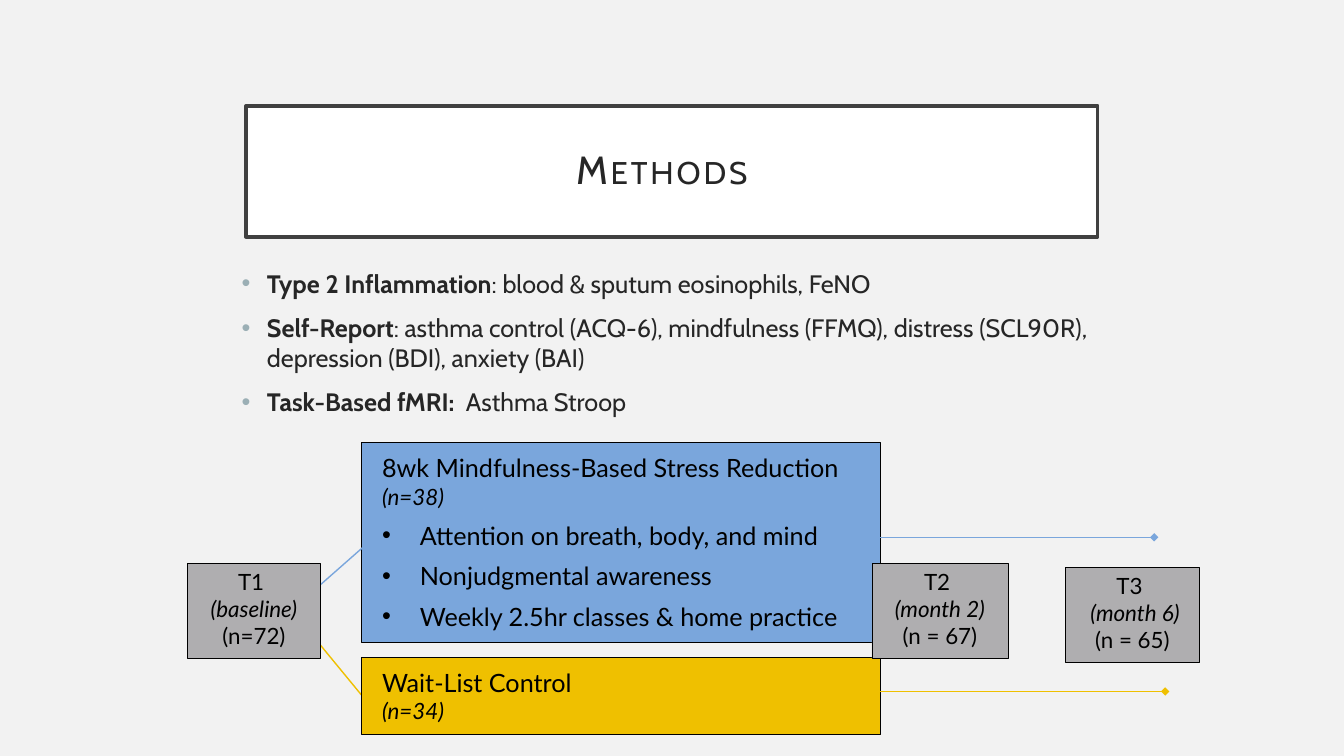
from pptx import Presentation
from pptx.dml.color import RGBColor
from pptx.enum.shapes import MSO_CONNECTOR, MSO_SHAPE
from pptx.enum.text import MSO_ANCHOR, PP_ALIGN
from pptx.oxml.ns import qn
from pptx.util import Pt
from lxml.etree import SubElement

INK, BLACK, GREY = "262626", "000000", "AFAEB0"
BLUE, YELLOW, BULLET = "7AA6DC", "EFC000", "9BAFB5"

MEASURES = [
    ("Type 2 Inflammation", ": blood & sputum eosinophils, FeNO"),
    ("Self-Report", ": asthma control (ACQ-6), mindfulness (FFMQ), "
                    "distress (SCL90R), depression (BDI), anxiety (BAI)"),
    ("Task-Based fMRI: ", " Asthma Stroop"),
]
PRACTICES = [
    "Attention on breath, body, and mind",
    "Nonjudgmental awareness",
    "Weekly 2.5hr classes & home practice",
]
# Left, top, width and lines of each assessment
VISITS = [
    (0, 86.4, 95, ("T1 ", "(baseline)", "(n=72)")),
    (488.9, 86.4, 97.2, ("T2 ", "(month 2)", "(n = 67)")),
    (627.1, 89.3, 95.8, ("T3 ", " (month 6)", "(n = 65)")),
]


def color(value):
    return RGBColor.from_string(value)


def set_frame(shape, insets, anchor=MSO_ANCHOR.TOP):
    frame = shape.text_frame
    frame.word_wrap = True
    frame.vertical_anchor = anchor
    frame.margin_left, frame.margin_top, frame.margin_right, frame.margin_bottom = map(Pt, insets)
    return frame


def add_box(slide, box, fill, line, weight):
    shape = slide.shapes.add_shape(MSO_SHAPE.RECTANGLE, *map(Pt, box))
    shape.shadow.inherit = False
    shape.fill.solid()
    shape.fill.fore_color.rgb = color(fill)
    shape.line.color.rgb = color(line)
    shape.line.width = Pt(weight)
    return shape


def add_line(slide, start, end, line, diamond=False):
    connector = slide.shapes.add_connector(MSO_CONNECTOR.STRAIGHT, *map(Pt, start + end))
    connector.line.color.rgb = color(line)
    connector.line.width = Pt(1)
    if diamond:
        SubElement(connector.line._get_or_add_ln(), qn("a:tailEnd"), type="diamond")
    SubElement(connector._element.spPr, qn("a:effectLst"))


def add_paragraph(frame, first, align=PP_ALIGN.LEFT, before=0, after=0):
    paragraph = frame.paragraphs[0] if first else frame.add_paragraph()
    paragraph.alignment = align
    paragraph.space_before = Pt(0 if first else before)
    paragraph.space_after = Pt(after)
    return paragraph


def add_bullet(paragraph, indent, tint):
    properties = paragraph._p.get_or_add_pPr()
    properties.set("marL", str(Pt(indent)))
    properties.set("indent", str(-Pt(indent)))
    SubElement(SubElement(properties, qn("a:buClr")), qn("a:srgbClr"), val=tint)
    SubElement(properties, qn("a:buFont"), typeface="Arial")
    SubElement(properties, qn("a:buChar"), char="•")


def add_run(paragraph, text, size, font="Lato", ink=BLACK, bold=False, italic=False):
    run = paragraph.add_run()
    run.text = text
    run.font.name = font
    run.font.size = Pt(size)
    run.font.color.rgb = color(ink)
    run.font.bold = bold
    run.font.italic = italic
    return run


def add_title(slide, box):
    shape = add_box(slide, box, "FFFFFF", "404040", 2.5)
    frame = set_frame(shape, [14.4] * 4, MSO_ANCHOR.MIDDLE)
    paragraph = add_paragraph(frame, True, PP_ALIGN.CENTER)
    paragraph.line_spacing = 0.9
    run = add_run(paragraph, "Methods", 28, "Cabin", INK)
    # Spaced small capitals
    properties = run._r.get_or_add_rPr()
    properties.set("cap", "small")
    properties.set("spc", "200")


def add_measures(slide, box):
    shape = slide.shapes.add_textbox(*map(Pt, box))
    frame = set_frame(shape, (7.2, 3.6, 7.2, 3.6))
    for index, (name, details) in enumerate(MEASURES):
        paragraph = add_paragraph(frame, index == 0, before=10)
        add_bullet(paragraph, 18, BULLET)
        add_run(paragraph, name, 18, "Cabin", INK, bold=True)
        add_run(paragraph, details, 18, "Cabin", INK)


def add_arm(slide, box, fill):
    shape = add_box(slide, box, fill, BLACK, 0.75)
    return set_frame(shape, (14.4, 7.2, 7.2, 7.2))


def add_visit(slide, box, lines):
    shape = add_box(slide, box, GREY, BLACK, 0.25)
    frame = set_frame(shape, (13, 3.6, 13, 3.6))
    for index, text in enumerate(lines):
        paragraph = add_paragraph(frame, index == 0, PP_ALIGN.CENTER)
        add_run(paragraph, text, 16, italic=index == 1)


def add_study_flow(slide, box):
    left, top, width, height = box
    arm_left, arm_width = left + 124.6, 370.8
    wait_height = 55.4
    wait_top = top + height - wait_height

    # Wait-list arm
    add_line(slide, (left + 77.8, top + 123.8), (arm_left, top + 180.7), YELLOW)
    frame = add_arm(slide, (arm_left, wait_top, arm_width, wait_height), YELLOW)
    add_run(add_paragraph(frame, True), "Wait-List Control", 18)
    add_run(add_paragraph(frame, False), "(n=34)", 16, italic=True)

    # Mindfulness arm
    frame = add_arm(slide, (arm_left, top, arm_width, 142.6), BLUE)
    paragraph = add_paragraph(frame, True, after=7.3)
    add_run(paragraph, "8wk Mindfulness-Based Stress Reduction ", 18)
    add_run(paragraph, "(n=38)", 16, italic=True)
    for practice in PRACTICES:
        paragraph = add_paragraph(frame, False, after=7.3)
        add_bullet(paragraph, 27, BLACK)
        add_run(paragraph, practice, 18)
    add_line(slide, (left + 71.3, top + 122.4), (left + 130.3, top + 70.5), BLUE)

    # Assessments
    for visit_left, visit_top, visit_width, lines in VISITS:
        add_visit(slide, (left + visit_left, top + visit_top, visit_width, 67.7), lines)

    # Follow-up lines
    for end, y, line in ((690.5, 67.7, BLUE), (698.4, 177.8, YELLOW)):
        add_line(slide, (left + 488.9, top + y), (left + end, top + y), line, diamond=True)


def main():
    presentation = Presentation()
    presentation.slide_width, presentation.slide_height = Pt(960), Pt(540)
    slide = presentation.slides.add_slide(presentation.slide_layouts[6])
    slide.background.fill.solid()
    slide.background.fill.fore_color.rgb = color("F2F2F2")
    add_measures(slide, (165.6, 187.9, 628.6, 244))
    add_study_flow(slide, (133.9, 316.1, 722.9, 208.7))
    add_title(slide, (175.7, 75.6, 608.4, 93.6))
    presentation.save("out.pptx")


if __name__ == "__main__":
    main()
